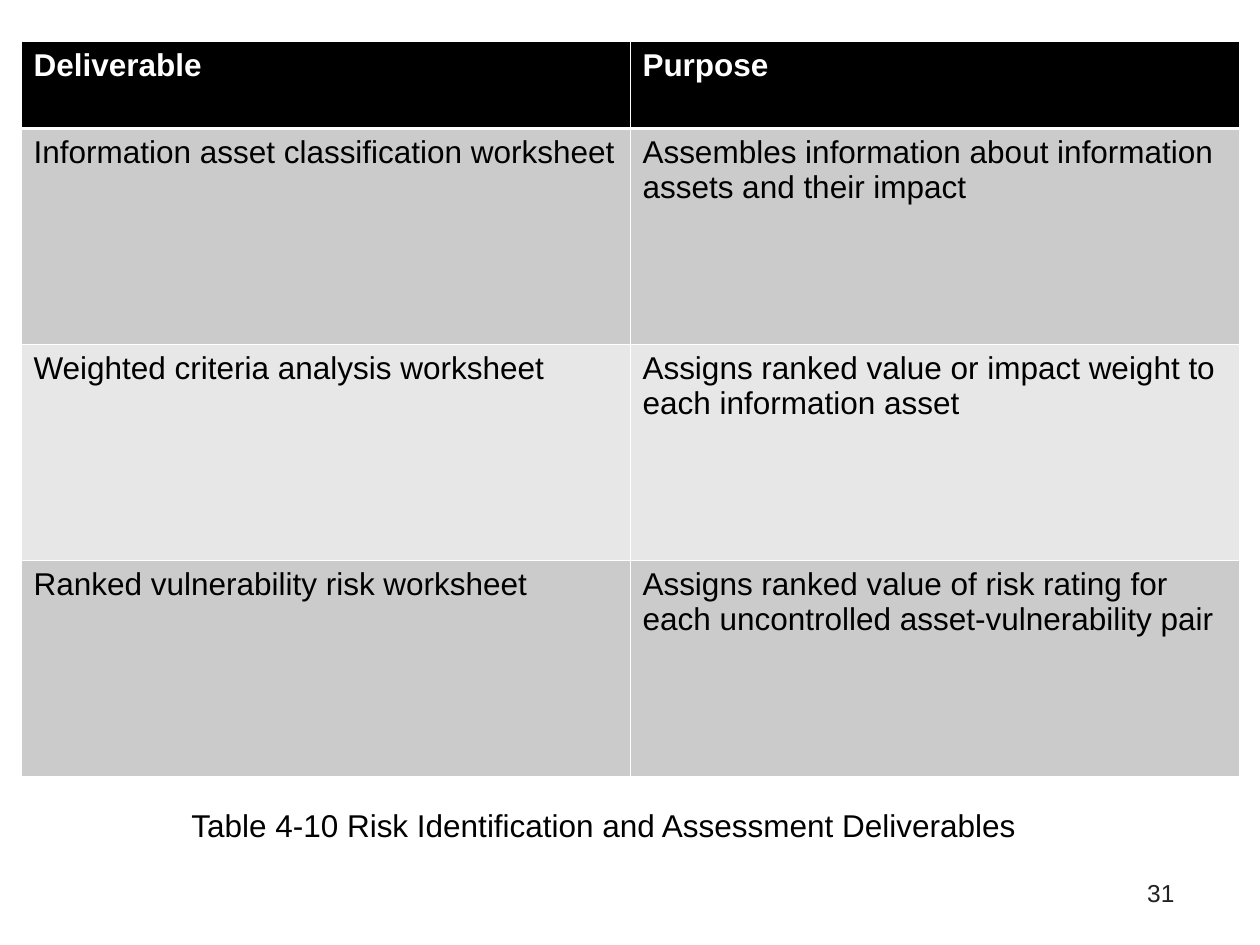
import pptx
import pptx.util
import pptx.dml.color
import pptx.enum.text
import lxml.etree

# Content
HEADER = ("Deliverable", "Purpose")
DELIVERABLES = [
    ("Information asset classification worksheet",
     "Assembles information about information assets and their impact"),
    ("Weighted criteria analysis worksheet",
     "Assigns ranked value or impact weight to each information asset"),
    ("Ranked vulnerability risk worksheet",
     "Assigns ranked value of risk rating for each uncontrolled asset-vulnerability pair"),
]
CAPTION = "Table 4-10 Risk Identification and Assessment Deliverables"
PAGE_NUMBER = "31"

# Geometry in inches, line widths in points
WIDTH, HEIGHT = 10, 7.5
TABLE_LEFT, TABLE_TOP = WIDTH / 60, 0.33
TABLE_WIDTH, TABLE_HEIGHT = WIDTH - 2 * TABLE_LEFT, 5.83
HEADER_HEIGHT = 0.69
THIN, THICK = 0.45, 1.47
BLACK, WHITE = "000000", "FFFFFF"
BANDS = ("CBCBCB", "E7E7E7")


def color(value):
    return pptx.dml.color.RGBColor.from_string(value)


def write(frame, text, size, ink, bold=False):
    frame.text = text
    font = frame.paragraphs[0].runs[0].font
    font.name, font.size, font.bold = "Arial", pptx.util.Pt(size), bold
    font.color.rgb = color(ink)


def add_text(page, left, top, width, height, text, size, ink):
    box = page.shapes.add_textbox(*map(pptx.util.Inches, (left, top, width, height)))
    box.text_frame.word_wrap = True
    write(box.text_frame, text, size, ink)
    return box


def set_borders(cell, top, bottom):
    properties = cell._tc.get_or_add_tcPr()
    sides = (("lnL", THIN), ("lnR", THIN), ("lnT", top), ("lnB", bottom))
    for position, (side, width) in enumerate(sides):
        line = lxml.etree.Element(pptx.oxml.ns.qn("a:" + side),
                                  w=str(int(pptx.util.Pt(width))))
        fill = lxml.etree.SubElement(line, pptx.oxml.ns.qn("a:solidFill"))
        lxml.etree.SubElement(fill, pptx.oxml.ns.qn("a:srgbClr"), val=WHITE)
        properties.insert(position, line)


def add_deliverables(page):
    rows = [HEADER] + DELIVERABLES
    table = page.shapes.add_table(
        len(rows), len(HEADER),
        *map(pptx.util.Inches, (TABLE_LEFT, TABLE_TOP, TABLE_WIDTH, TABLE_HEIGHT))).table
    body_height = (TABLE_HEIGHT - HEADER_HEIGHT) / len(DELIVERABLES)
    for r, texts in enumerate(rows):
        header = r == 0
        table.rows[r].height = pptx.util.Inches(HEADER_HEIGHT if header else body_height)
        for c, text in enumerate(texts):
            cell = table.cell(r, c)
            write(cell.text_frame, text, 18, WHITE if header else BLACK, header)
            cell.fill.solid()
            cell.fill.fore_color.rgb = color(BLACK if header else BANDS[(r - 1) % 2])
            set_borders(cell, THICK if r == 1 else THIN, THICK if header else THIN)


def main():
    deck = pptx.Presentation()
    deck.slide_width = pptx.util.Inches(WIDTH)
    deck.slide_height = pptx.util.Inches(HEIGHT)
    page = deck.slides.add_slide(deck.slide_layouts[6])

    # Page number, caption and table
    number = add_text(page, 7.17, 6.92, 2.25, 0.42, PAGE_NUMBER, 14, "222222")
    number.text_frame.paragraphs[0].alignment = pptx.enum.text.PP_ALIGN.RIGHT
    caption = add_text(page, 1.42, 6.35, 6.83, 0.4, CAPTION, 18, BLACK)
    caption.text_frame.auto_size = pptx.enum.text.MSO_AUTO_SIZE.SHAPE_TO_FIT_TEXT
    add_deliverables(page)

    deck.save("out.pptx")


if __name__ == "__main__":
    main()
